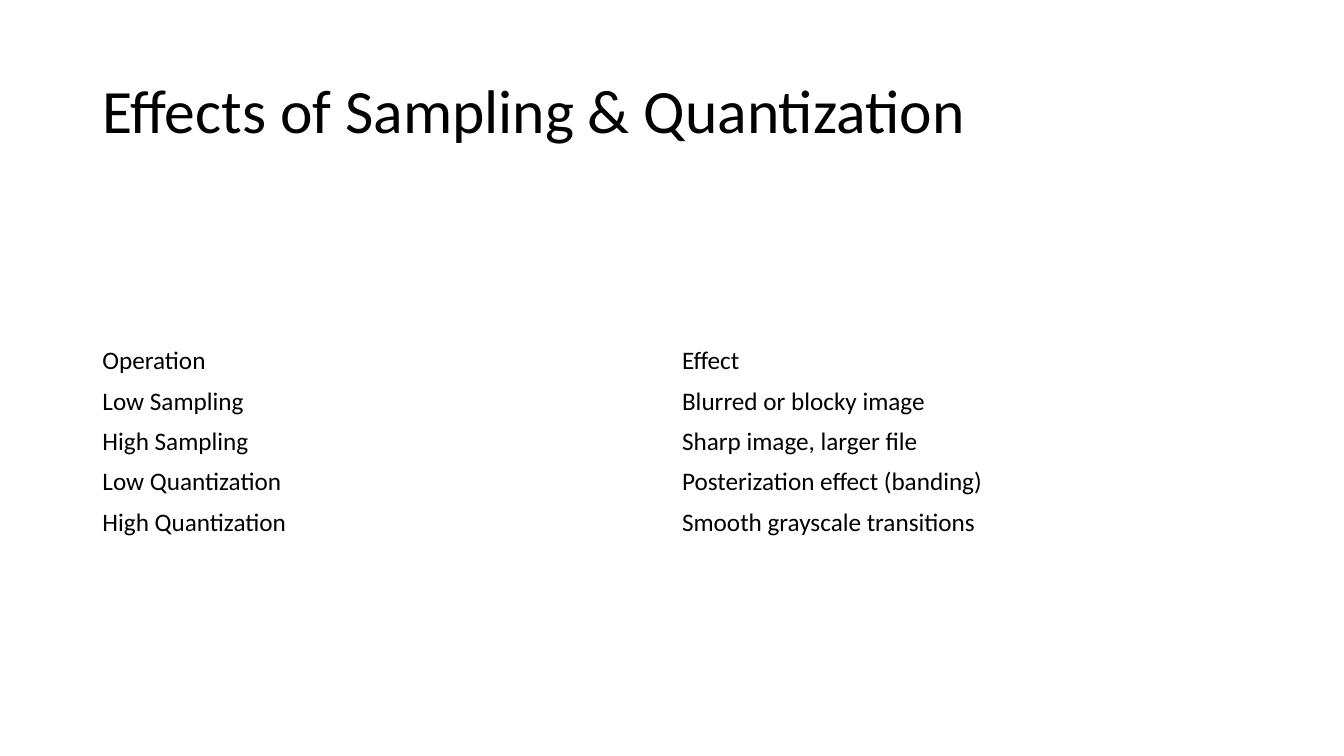
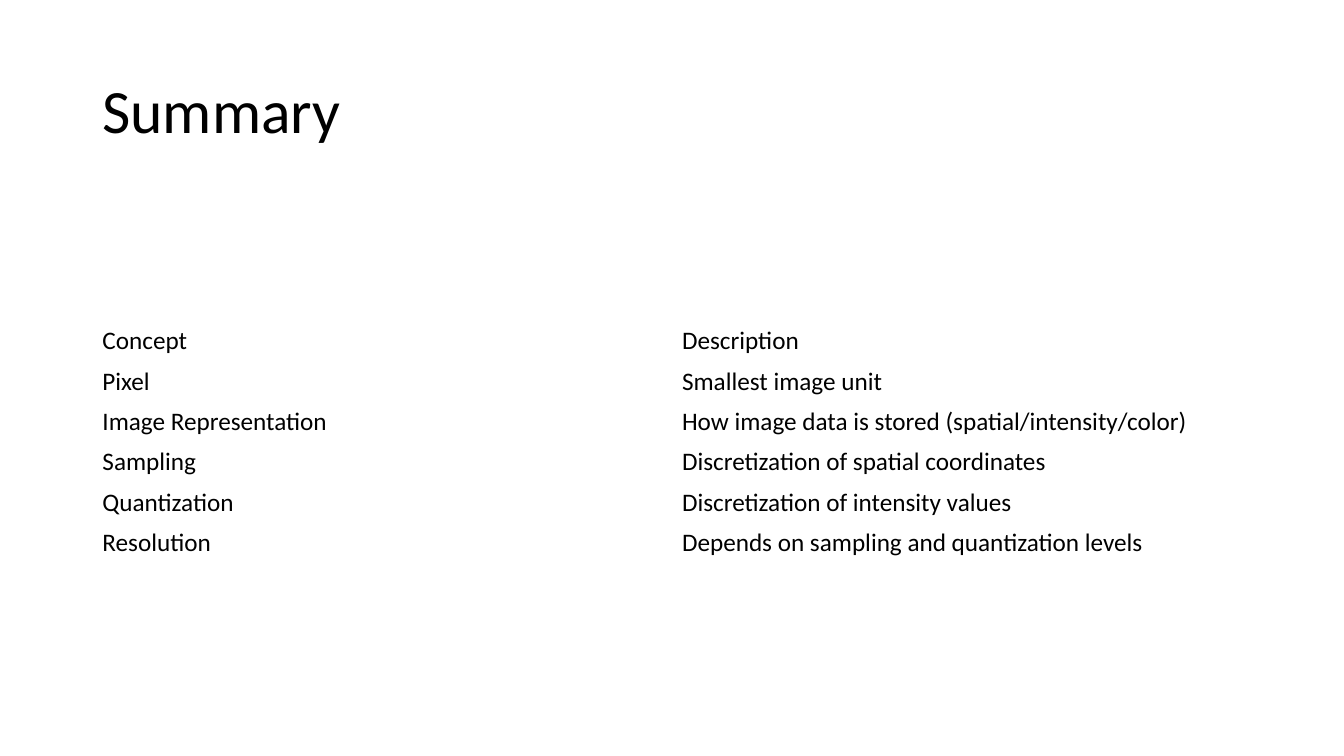
from pptx import Presentation
from pptx.dml.color import RGBColor
from pptx.enum import text
from pptx.util import Pt

BLACK = RGBColor(0x00, 0x00, 0x00)

EFFECTS = [
    ("Operation", "Effect"),
    ("Low Sampling", "Blurred or blocky image"),
    ("High Sampling", "Sharp image, larger file"),
    ("Low Quantization", "Posterization effect (banding)"),
    ("High Quantization", "Smooth grayscale transitions"),
]
CONCEPTS = [
    ("Concept", "Description"),
    ("Pixel", "Smallest image unit"),
    ("Image Representation", "How image data is stored (spatial/intensity/color)"),
    ("Sampling", "Discretization of spatial coordinates"),
    ("Quantization", "Discretization of intensity values"),
    ("Resolution", "Depends on sampling and quantization levels"),
]


class Deck:
    """Holds the shared style and the current slide."""

    FONT = "Calibri"
    TITLE_SIZE, BODY_SIZE = 44, 18
    LEFT, WIDTH = 66, 828
    TITLE_TOP, TITLE_HEIGHT = 28.8, 104.4
    TABLE_MIDDLE, ROW_HEIGHT = 315.4, 28.8

    def __init__(self):
        self.prs = Presentation()
        self.prs.slide_width, self.prs.slide_height = Pt(960), Pt(540)
        self.slide = None

    def new_slide(self):
        self.slide = self.prs.slides.add_slide(self.prs.slide_layouts[6])

    def set_text(self, frame, words, size):
        frame.text = words
        paragraph = frame.paragraphs[0]
        for run in paragraph.runs:
            run.font.name, run.font.size = self.FONT, Pt(size)
            run.font.color.rgb = BLACK
        return paragraph

    def title(self, words):
        box = self.slide.shapes.add_textbox(
            Pt(self.LEFT), Pt(self.TITLE_TOP), Pt(self.WIDTH), Pt(self.TITLE_HEIGHT))
        frame = box.text_frame
        frame.word_wrap = True
        frame.vertical_anchor = text.MSO_ANCHOR.MIDDLE
        self.set_text(frame, words, self.TITLE_SIZE).line_spacing = 0.9

    def table(self, rows):
        # Centred on a fixed height, whatever the number of rows
        height = len(rows) * self.ROW_HEIGHT
        grid = self.slide.shapes.add_table(
            len(rows), len(rows[0]), Pt(self.LEFT),
            Pt(self.TABLE_MIDDLE - height / 2), Pt(self.WIDTH), Pt(height)).table
        grid.first_row = grid.horz_banding = False
        for r, row in enumerate(rows):
            for c, words in enumerate(row):
                cell = grid.cell(r, c)
                cell.fill.background()
                cell.vertical_anchor = text.MSO_ANCHOR.MIDDLE
                self.set_text(cell.text_frame, words, self.BODY_SIZE)


def main():
    deck = Deck()

    # Effects, then summary
    for heading, rows in (("Effects of Sampling & Quantization", EFFECTS),
                          ("Summary", CONCEPTS)):
        deck.new_slide()
        deck.title(heading)
        deck.table(rows)

    deck.prs.save("out.pptx")


if __name__ == "__main__":
    main()
